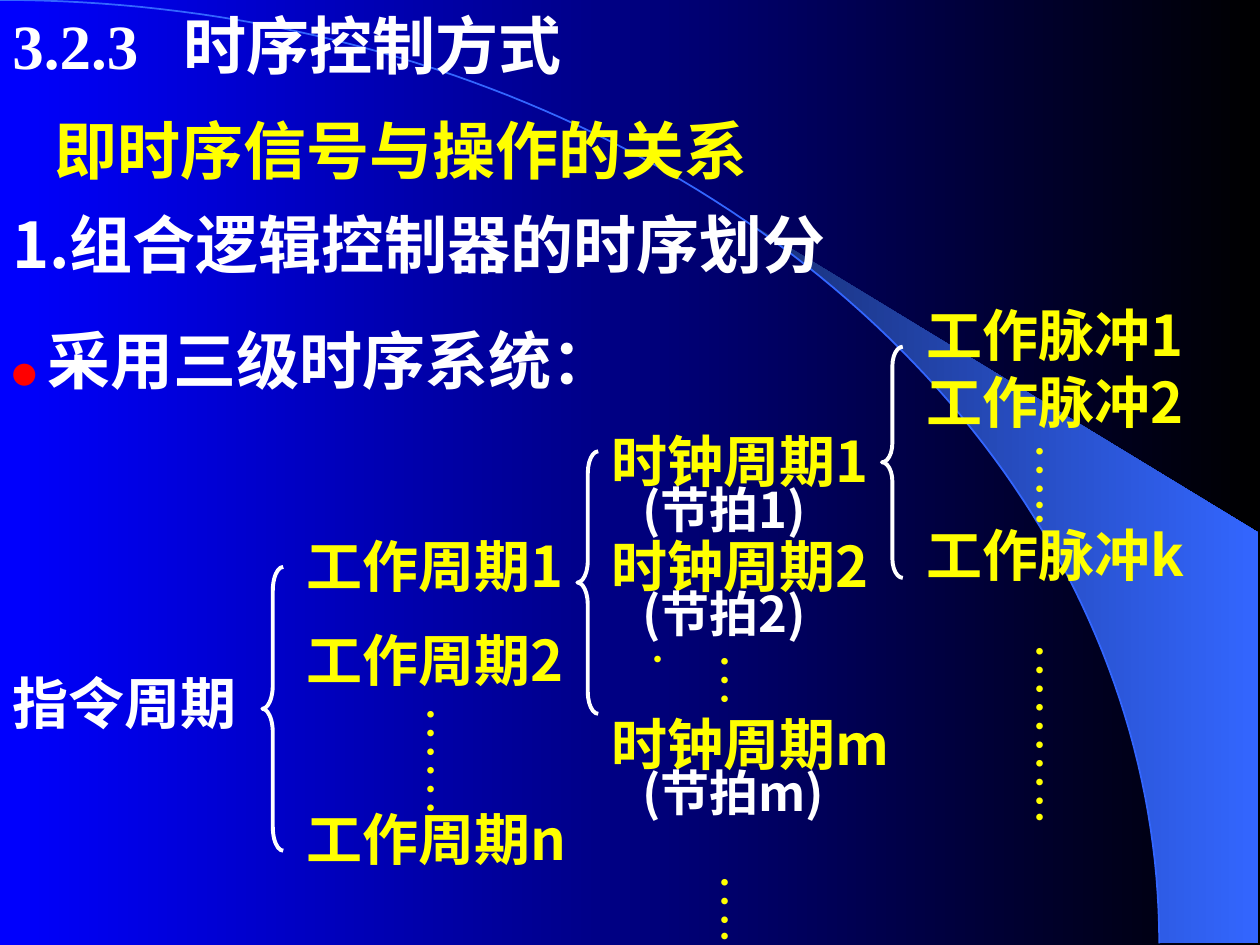
import math
from dataclasses import dataclass

import pptx
import pptx.dml.color
import pptx.enum.shapes
import pptx.enum.text
import pptx.oxml
import pptx.oxml.ns
import pptx.util
from pptx.util import Cm


@dataclass(frozen=True)
class Theme:
    white: str = "FFFFFF"
    yellow: str = "FFFF00"
    red: str = "FF0000"
    blue: str = "0000FF"
    black: str = "000000"
    arc: str = "3366FF"
    wedge: str = "182F76"
    cjk: str = "Noto Sans CJK SC"
    serif: str = "Times New Roman"
    heading: int = 36
    label: int = 32
    note: int = 28
    bullet: int = 14


THEME = Theme()
ARC_WIDTH, ARC_HEIGHT = 23.37, 19.02  # radii of the quarter ellipse, cm


def rgb(value):
    return pptx.dml.color.RGBColor.from_string(value)


def set_gradient(fill, start, end):
    fill.gradient()
    fill.gradient_angle = 0
    for stop, color in zip(fill.gradient_stops, (start, end)):
        stop.color.rgb = rgb(color)


def add_text(slide, text, left, top, width, height, size, color,
             font=THEME.cjk, bold=True, vertical=False, tab=None):
    """Add a one-paragraph text box; tab is the stop that sets a gap."""
    box = slide.shapes.add_textbox(Cm(left), Cm(top), Cm(width), Cm(height))
    frame = box.text_frame
    frame.word_wrap = True
    frame.auto_size = pptx.enum.text.MSO_AUTO_SIZE.SHAPE_TO_FIT_TEXT
    side, end = (0.13, 0.25) if vertical else (0.25, 0.13)
    frame.margin_left = frame.margin_right = Cm(side)
    frame.margin_top = frame.margin_bottom = Cm(end)
    if vertical:
        frame._txBody.bodyPr.set("vert", "eaVert")

    paragraph = frame.paragraphs[0]
    paragraph.add_run().text = text
    properties = paragraph._p.get_or_add_pPr()
    if tab:
        tabs = pptx.oxml.parse_xml(
            f'<a:tabLst {pptx.oxml.ns.nsdecls("a")}>'
            f'<a:tab pos="{Cm(tab)}" algn="l"/></a:tabLst>')
        properties.append(tabs)
    paragraph.font.name = font
    paragraph.font.size = pptx.util.Pt(size)
    paragraph.font.bold = bold
    paragraph.font.color.rgb = rgb(color)
    properties.find(pptx.oxml.ns.qn("a:defRPr")).append(pptx.oxml.parse_xml(
        f'<a:ea {pptx.oxml.ns.nsdecls("a")} typeface="{THEME.cjk}"/>'))
    return paragraph


def add_dots(slide, text, left, top, height):
    add_text(slide, text, left, top, 1.85, height, THEME.label, THEME.yellow,
             font=THEME.serif, bold=False, vertical=True)


def add_labels(slide, left, width, rows):
    for text, top in rows:
        add_text(slide, text, left, top, width, 1.63, THEME.label, THEME.yellow)


def add_brace(slide, left, top, height):
    width = 0.42
    brace = slide.shapes.add_shape(
        pptx.enum.shapes.MSO_SHAPE.LEFT_BRACE,
        Cm(left), Cm(top), Cm(width), Cm(height))
    brace.adjustments[0] = height / 12 / width
    brace.shadow.inherit = False
    brace.fill.background()
    brace.line.color.rgb = rgb(THEME.white)
    brace.line.width = pptx.util.Pt(2.25)


def arc_points(start_x, count):
    """Points on the quarter ellipse from start_x to its right end."""
    first = math.asin(start_x / ARC_WIDTH)
    angles = (first + (math.pi / 2 - first) * i / count for i in range(count + 1))
    return [(Cm(ARC_WIDTH * math.sin(angle)), Cm(ARC_HEIGHT * (1 - math.cos(angle))))
            for angle in angles]


def add_outline(slide, points, close):
    builder = slide.shapes.build_freeform(*points[0])
    builder.add_line_segments(points[1:], close=close)
    shape = builder.convert_to_shape()
    shape.shadow.inherit = False
    return shape


def add_background(slide):
    set_gradient(slide.background.fill, THEME.blue, THEME.black)

    corners = [(Cm(25.37), Cm(ARC_HEIGHT)), (Cm(25.37), Cm(10.74))]
    wedge = add_outline(slide, arc_points(14.96, 40) + corners, close=True)
    set_gradient(wedge.fill, THEME.wedge, THEME.arc)
    wedge.line.fill.background()

    arc = add_outline(slide, arc_points(0, 90), close=False)
    arc.fill.background()
    arc.line.color.rgb = rgb(THEME.arc)
    arc.line.width = pptx.util.Pt(1)


def add_headings(slide):
    add_text(slide, "1.组合逻辑控制器的时序划分", 0, 4.02, 20.75, 1.78,
             THEME.heading, THEME.white)
    add_text(slide, "3.2.3\t时序控制方式", 0, 0, 14.4, 1.78,
             THEME.heading, THEME.white, font=THEME.serif, tab=3.45)
    add_text(slide, "即时序信号与操作的关系", 0.85, 2.12, 19.69, 1.78,
             THEME.heading, THEME.yellow, font=THEME.serif)
    paragraph = add_text(slide, "●\t", 0, 6.35, 14.82, 1.78,
                         THEME.heading, THEME.white, tab=0.7)
    bullet = paragraph.runs[0].font
    bullet.size = pptx.util.Pt(THEME.bullet)
    bullet.color.rgb = rgb(THEME.red)
    paragraph.add_run().text = "采用三级时序系统："


def add_timing_tree(slide):
    # Instruction cycle and its work cycles
    add_text(slide, "指令周期", 0, 13.34, 7.2, 1.63, THEME.label, THEME.white)
    add_brace(slide, 5.29, 11.43, 5.72)
    add_labels(slide, 5.93, 7.2, [
        ("工作周期1", 10.58), ("工作周期2", 12.49), ("工作周期n", 16.09)])
    add_dots(slide, "……", 8.04, 13.97, 3.6)

    # Clock cycles, each with its beat
    add_brace(slide, 11.64, 9.1, 5.29)
    for name, top in (("1", 8.47), ("2", 10.58), ("m", 14.18)):
        add_labels(slide, 12.07, 6.99, [(f"时钟周期{name}", top)])
        add_text(slide, f"(节拍{name})", 12.7, top + 1.06, 4.87, 1.44,
                 THEME.note, THEME.white)
    add_dots(slide, "….", 13.97, 12.91, 1.7)
    add_dots(slide, "….", 13.97, 17.36, 2.33)

    # Work pulses
    add_brace(slide, 17.78, 6.99, 4.66)
    add_labels(slide, 18.42, 6.99, [
        ("工作脉冲1", 5.93), ("工作脉冲2", 7.28), ("工作脉冲k", 10.37)])
    add_dots(slide, "…..", 20.32, 8.68, 2.33)
    add_dots(slide, "……….", 20.32, 12.7, 4.87)


def main():
    presentation = pptx.Presentation()
    presentation.slide_width, presentation.slide_height = Cm(25.4), Cm(19.05)
    slide = presentation.slides.add_slide(presentation.slide_layouts[6])
    add_background(slide)
    add_headings(slide)
    add_timing_tree(slide)
    presentation.save("out.pptx")


if __name__ == "__main__":
    main()
